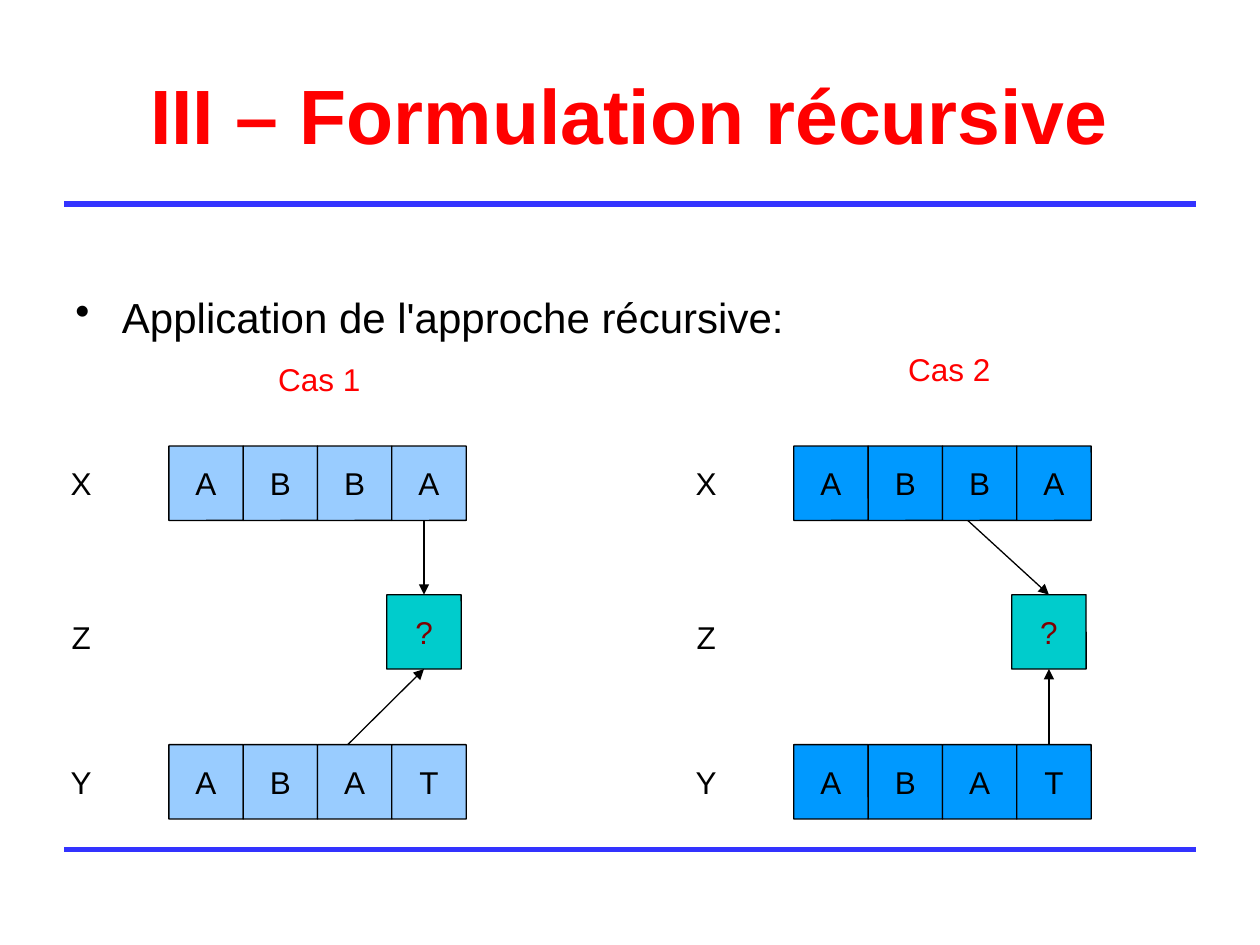
from lxml.etree import SubElement
from pptx import Presentation
from pptx.dml.color import RGBColor as RGB
from pptx.enum.shapes import MSO_CONNECTOR as CONN, MSO_SHAPE as SHAPE
from pptx.enum.text import MSO_ANCHOR as ANCHOR, PP_ALIGN as ALIGN
from pptx.oxml.ns import qn
from pptx.util import Inches, Pt

COLORS = {
    "black": "000000", "white": "FFFFFF", "red": "FF0000", "rule": "3333FF",
    "case1": "99CCFF", "case2": "0099FF", "result": "00CCCC", "unknown": "800000",
}
CELL = 0.59
ROWS = {"X": 3.54, "Z": 4.76, "Y": 5.91}
WORDS = {"X": "ABBA", "Y": "ABAT"}
WORD_LEFT = 0.99
RESULT_LEFT, RESULT_TOP = 2.72, 4.72
RESULT_MID = RESULT_LEFT + CELL / 2
CASES = [
    {"name": "Cas 1", "left": 0.35, "label": (2.11, 2.81), "fill": "case1",
     "x_start": RESULT_MID, "y_start": 2.41},
    {"name": "Cas 2", "left": 5.31, "label": (7.11, 2.73), "fill": "case2",
     "x_start": 2.37, "y_start": RESULT_MID},
]


def color(name):
    return RGB.from_string(COLORS[name])


def set_attrs(obj, values):
    for name, value in values.items():
        setattr(obj, name, value)


def write(tf, text, size, col="black", bold=False, align=ALIGN.LEFT):
    p = tf.paragraphs[0]
    p.alignment = align
    r = p.add_run()
    r.text = text
    set_attrs(r.font, {"name": "Arial", "size": Pt(size), "bold": bold})
    r.font.color.rgb = color(col)
    return p


def add_title(s, text):
    sp = s.shapes.title
    set_attrs(sp, {"left": Inches(0.5), "top": Inches(0.3),
                   "width": Inches(9), "height": Inches(1.25)})
    tf = sp.text_frame
    set_attrs(tf, {"vertical_anchor": ANCHOR.MIDDLE, "margin_top": Inches(0.09)})
    write(tf, text, 44, "red", True, ALIGN.CENTER).line_spacing = 0.93


def add_bullet(s, text):
    sp = s.shapes.add_textbox(Inches(0.5), Inches(1.75), Inches(9), Inches(4.95))
    tf = sp.text_frame
    set_attrs(tf, {"word_wrap": True, "margin_top": Inches(0.56)})
    pPr = write(tf, text, 24)._p.get_or_add_pPr()
    pPr.set("marL", str(Inches(0.37)))
    pPr.set("indent", str(-Inches(0.37)))
    SubElement(pPr, qn("a:buChar")).set("char", "•")


def add_label(s, text, left, top):
    sp = s.shapes.add_textbox(Inches(left), Inches(top), Inches(0.85), Inches(0.4))
    sp.text_frame.word_wrap = False
    write(sp.text_frame, text, 18, "red")


def add_cell(s, text, left, top, fill, col="black", outlined=True):
    sp = s.shapes.add_shape(SHAPE.ROUNDED_RECTANGLE, Inches(left), Inches(top),
                            Inches(CELL), Inches(CELL))
    sp.adjustments[0] = 0.003
    sp.shadow.inherit = False
    sp.fill.solid()
    sp.fill.fore_color.rgb = color(fill)
    if outlined:
        sp.line.color.rgb = color("black")
        sp.line.width = Pt(0.75)
    else:
        sp.line.fill.background()
    sp.text_frame.vertical_anchor = ANCHOR.MIDDLE
    write(sp.text_frame, text, 18, col, align=ALIGN.CENTER)
    return sp


def add_line(s, start, end, col, width):
    x1, y1, x2, y2 = map(Inches, (*start, *end))
    line = s.shapes.add_connector(CONN.STRAIGHT, x1, y1, x2, y2)
    line.line.color.rgb = color(col)
    line.line.width = Pt(width)
    SubElement(line._element.spPr, qn("a:effectLst"))
    return line


def add_arrow(s, start, target, site):
    line = add_line(s, start, start, "black", 0.75)
    line.end_connect(target, site)
    SubElement(line.line._get_or_add_ln(), qn("a:tailEnd")).set("type", "triangle")


def add_case(s, case):
    left = case["left"]
    for row, top in ROWS.items():
        add_cell(s, row, left, top, "white", outlined=False)
        for i, letter in enumerate(WORDS.get(row, "")):
            add_cell(s, letter, left + WORD_LEFT + i * CELL, top, case["fill"])
    result = add_cell(s, "?", left + RESULT_LEFT, RESULT_TOP, "result", "unknown")
    add_arrow(s, (left + case["x_start"], ROWS["X"] + CELL), result, 0)
    add_arrow(s, (left + case["y_start"], ROWS["Y"]), result, 2)
    add_label(s, case["name"], *case["label"])


def main():
    prs = Presentation()
    prs.slide_width, prs.slide_height = Inches(10), Inches(7.5)
    s = prs.slides.add_slide(prs.slide_layouts[5])
    for y in (1.62, 6.74):
        add_line(s, (0.51, y), (9.49, y), "rule", 3)
    add_title(s, "III – Formulation récursive")
    add_bullet(s, "Application de l'approche récursive:")
    for case in CASES:
        add_case(s, case)
    prs.save("out.pptx")


if __name__ == "__main__":
    main()
